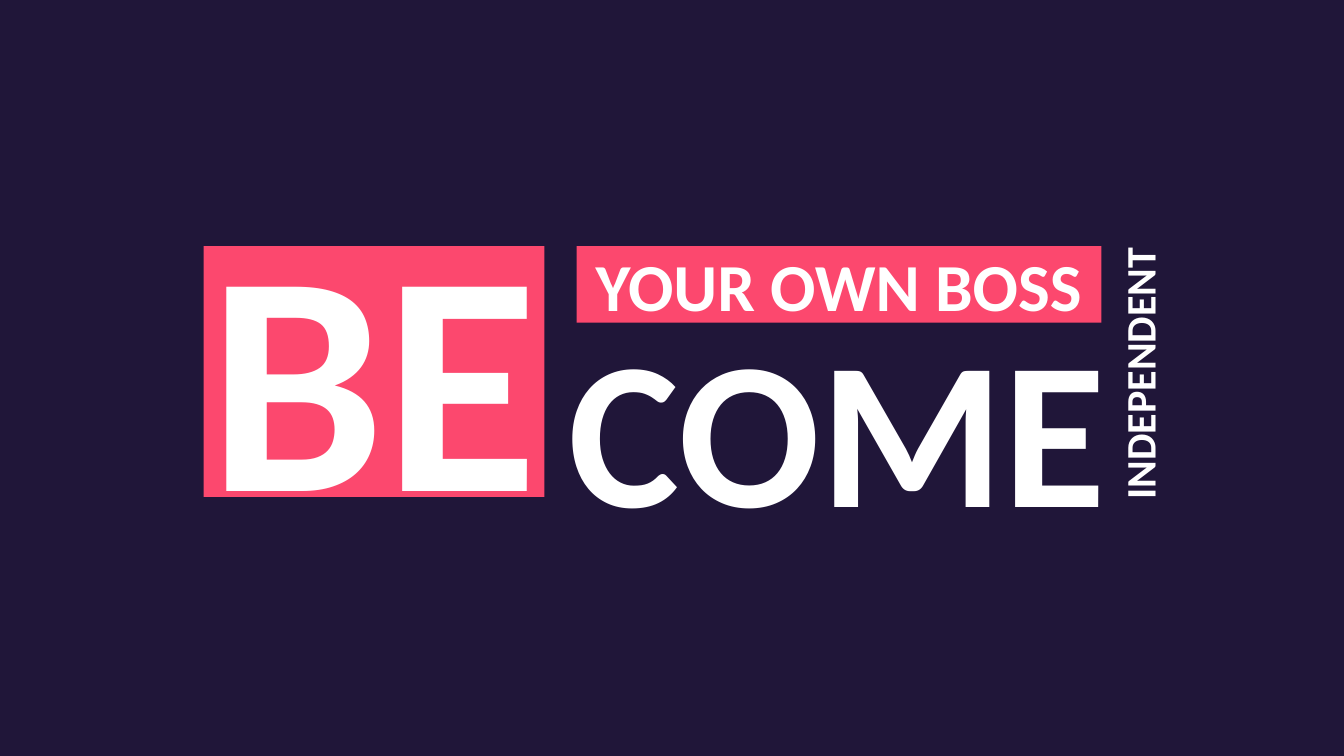
from pptx import Presentation
from pptx.dml.color import RGBColor
from pptx.enum.shapes import MSO_SHAPE as Preset
from pptx.enum.text import MSO_AUTO_SIZE as AutoSize, PP_ALIGN as Align
from pptx.util import Cm, Pt

COLOURS = {"night": "201639", "coral": "FC486E", "white": "FFFFFF"}
BLANK_LAYOUT = 6


def paint(fill, colour):
    """Give a fill one solid colour from the palette."""
    fill.solid()
    fill.fore_color.rgb = RGBColor.from_string(COLOURS[colour])


def add_panel(shapes, place):
    """Add a flat coral rectangle; place is left, top, width, height in cm."""
    panel = shapes.add_shape(Preset.RECTANGLE, *map(Cm, place))
    panel.shadow.inherit = False
    paint(panel.fill, "coral")
    panel.line.fill.background()


def add_word(shapes, text, place, size, rotation=0):
    """Add centred bold white lettering in a text box."""
    box = shapes.add_textbox(*map(Cm, place))
    box.rotation = rotation
    frame = box.text_frame
    frame.word_wrap = True
    frame.auto_size = AutoSize.SHAPE_TO_FIT_TEXT
    para = frame.paragraphs[0]
    para.alignment = Align.CENTER
    span = para.add_run()
    span.text = text
    font_format = {"name": "Calibri", "size": Pt(size), "bold": True}
    for name, value in font_format.items():
        setattr(span.font, name, value)
    paint(span.font.fill, "white")


def add_badge(page, text, panel_place, word_place, size):
    """Group a coral panel with the lettering over it."""
    group = page.shapes.add_group_shape()
    add_panel(group.shapes, panel_place)
    add_word(group.shapes, text, word_place, size)


def main():
    """Build the lettering slide and save it."""
    deck = Presentation()
    deck.slide_width, deck.slide_height = Cm(33.87), Cm(19.05)
    page = deck.slides.add_slide(deck.slide_layouts[BLANK_LAYOUT])
    paint(page.background.fill, "night")

    add_word(page.shapes, "COME", (13.06, 7.37, 16.08, 6.68), 150)
    add_badge(page, "YOUR OWN BOSS", (14.53, 6.2, 13.23, 1.93),
              (13.67, 6.02, 14.94, 2.31), 48)
    add_badge(page, "BE", (5.13, 6.2, 8.59, 6.32),
              (3.84, 4.32, 11.13, 9.88), 225)
    add_word(page.shapes, "INDEPENDENT", (24.92, 8.64, 7.59, 1.55), 30,
             rotation=270)
    deck.save("out.pptx")


main()
